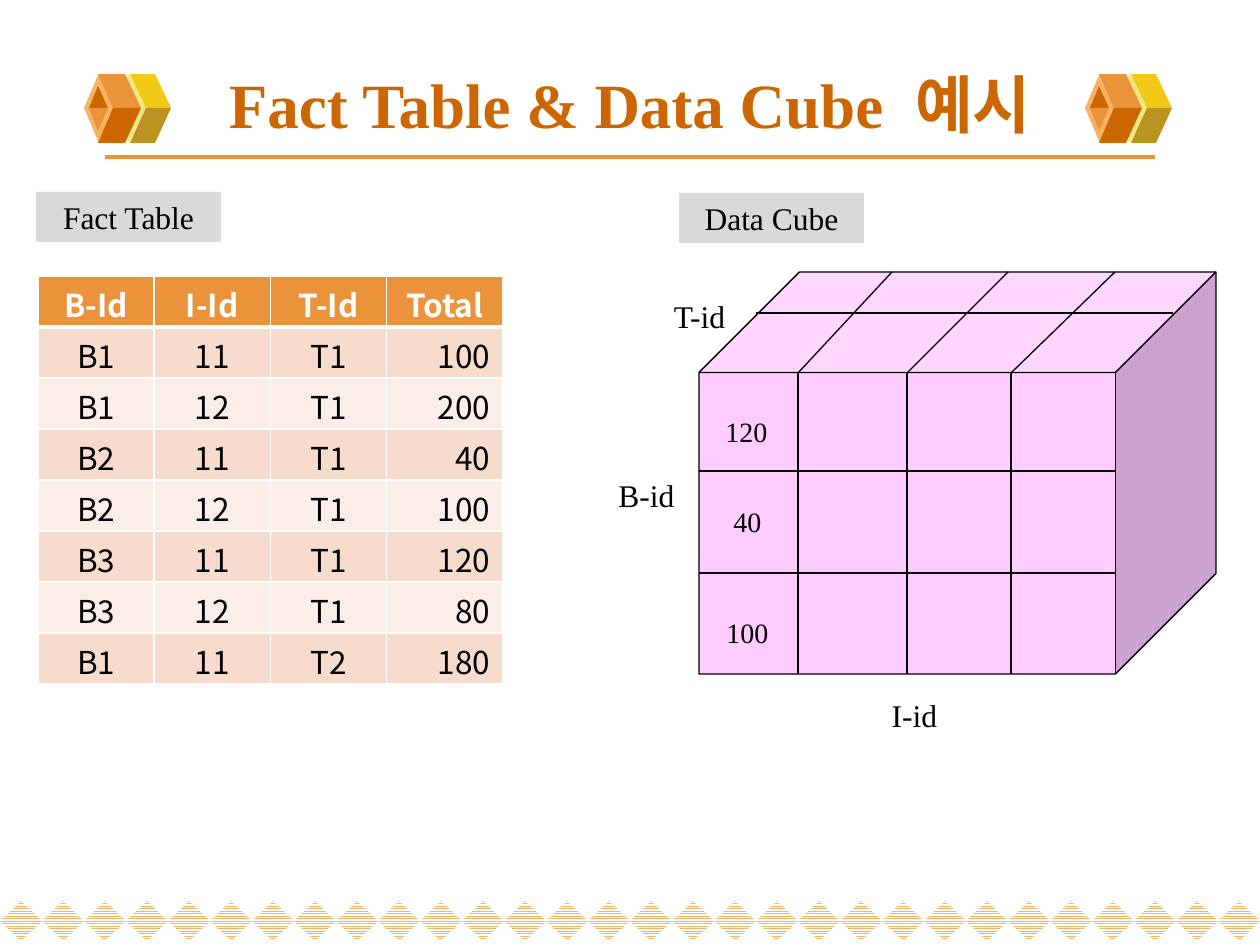
from lxml import etree
from pptx import Presentation
from pptx.dml.color import RGBColor
from pptx.enum.dml import MSO_PATTERN as PATTERN
from pptx.enum.shapes import MSO_CONNECTOR as CONN, MSO_SHAPE as SHAPE
from pptx.enum.text import MSO_ANCHOR as ANCHOR, PP_ALIGN as ALIGN
from pptx.oxml.ns import qn
from pptx.util import Pt

SCALE = 914400 / 126
SERIF, SANS = "Times New Roman", "Noto Sans CJK KR"
ORANGE, RUST, PEACH = "EB933B", "CC6600", "F5B363"


def px(n):
    return round(n * SCALE)


def rgb(color):
    return RGBColor.from_string(color)


def add_text(p, text, size=18, font=SERIF, color="000000", bold=False,
             align=ALIGN.CENTER, spacing=None):
    p.alignment = align
    r = p.add_run()
    r.text = text
    f = r.font
    f.size, f.name, f.bold = Pt(size), font, bold
    f.color.rgb = rgb(color)
    rpr = r._r.get_or_add_rPr()
    etree.SubElement(rpr, qn("a:ea")).set("typeface", SANS)
    if spacing:
        rpr.set("spc", str(spacing * 100))


def paint(sp, fill, line=None):
    sp.shadow.inherit = False
    sp.fill.solid()
    sp.fill.fore_color.rgb = rgb(fill)
    if line:
        sp.line.color.rgb = rgb(line)
        sp.line.width = Pt(0.75)
    else:
        sp.line.fill.background()


def add_box(s, kind, x, y, w, h, fill, line=None):
    sp = s.shapes.add_shape(kind, px(x), px(y), px(w), px(h))
    paint(sp, fill, line)
    return sp


def add_polygon(s, x, y, points, fill):
    (x0, y0), *rest = [(x + a, y + b) for a, b in points]
    builder = s.shapes.build_freeform(x0, y0, scale=SCALE)
    builder.add_line_segments(rest, close=True)
    paint(builder.convert_to_shape(), fill)


def add_line(s, x1, y1, x2, y2, color="000000", width=0.75):
    c = s.shapes.add_connector(CONN.STRAIGHT, px(x1), px(y1), px(x2), px(y2))
    c.line.color.rgb = rgb(color)
    c.line.width = Pt(width)
    etree.SubElement(c._element.spPr, qn("a:effectLst"))


def add_label(s, text, x, y, w, h, **fmt):
    tf = s.shapes.add_textbox(px(x), px(y), px(w), px(h)).text_frame
    tf.word_wrap = True
    add_text(tf.paragraphs[0], text, **fmt)


def diamond_border(s, y, count=30, pitch=42, height=40):
    for i in range(count):
        sp = add_box(s, SHAPE.DIAMOND, i * pitch, y, pitch, height, PEACH)
        sp.fill.patterned()
        sp.fill.pattern = PATTERN.NARROW_HORIZONTAL
        sp.fill.fore_color.rgb = rgb(PEACH)
        sp.fill.back_color.rgb = rgb("FFFFFF")


def hex_ornament(s, x, y):
    add_box(s, SHAPE.DIAMOND, x + 24, y + 1, 42, 69, "F1E785")
    add_polygon(s, x, y, [(62, 35), (87, 35), (71, 1), (46, 1)], "F3C917")
    add_polygon(s, x, y, [(62, 35), (87, 35), (71, 70), (46, 70)], "BB9321")
    add_box(s, SHAPE.DIAMOND, x, y, 30, 70, PEACH)
    add_polygon(s, x, y, [(29, 35), (57, 35), (41, 1), (14, 1)], ORANGE)
    add_polygon(s, x, y, [(29, 35), (57, 35), (41, 70), (14, 70)], RUST)
    add_polygon(s, x, y, [(14, 13), (5, 35), (24, 35)], RUST)
    add_polygon(s, x, y, [(14, 58), (5, 35), (24, 35)], ORANGE)


def title_band(s, x, y, w, h):
    title = s.shapes.title
    title.left, title.top, title.width, title.height = px(x), px(y), px(w), px(h)
    tf = title.text_frame
    tf.vertical_anchor = ANCHOR.MIDDLE
    p = tf.paragraphs[0]
    for text, spacing in (("Fact Table & Data Cube", None), (" ", 9), ("예시", None)):
        add_text(p, text, size=36, color=RUST, bold=True, spacing=spacing)
    add_line(s, x + 42, y + 107, x + w - 42, y + 107, ORANGE, 2.25)
    for left in (x + 21, x + 1022):
        hex_ornament(s, left, y + 23)


def caption(s, text, x, y):
    sp = add_box(s, SHAPE.RECTANGLE, x, y, 185, 50, "D9D9D9")
    sp.text_frame.vertical_anchor = ANCHOR.TOP
    add_text(sp.text_frame.paragraphs[0], text)


def set_borders(cell, bottom):
    tcpr = cell._tc.get_or_add_tcPr()
    widths = (("a:lnL", 1), ("a:lnR", 1), ("a:lnT", 1), ("a:lnB", bottom))
    for i, (tag, width) in enumerate(widths):
        ln = etree.Element(qn(tag), w=str(Pt(width)))
        solid = etree.SubElement(ln, qn("a:solidFill"))
        etree.SubElement(solid, qn("a:srgbClr")).set("val", "FFFFFF")
        tcpr.insert(i, ln)


def fact_table(s, x, y, w, h, rows):
    n, m = len(rows), len(rows[0])
    table = s.shapes.add_table(n, m, px(x), px(y), px(w), px(h)).table
    for col in table.columns:
        col.width = px(w / m)
    for i, row in enumerate(rows):
        table.rows[i].height = px(h / n)
        head = i == 0
        for j, value in enumerate(row):
            cell = table.cell(i, j)
            cell.margin_top, cell.margin_bottom = px(5), 0
            cell.fill.solid()
            cell.fill.fore_color.rgb = rgb(
                ORANGE if head else ("FBEEE8", "F7DCCE")[i % 2])
            set_borders(cell, 3 if head else 1)
            number = j == m - 1 and not head
            add_text(cell.text_frame.paragraphs[0], value, font=SANS, bold=head,
                     color="FFFFFF" if head else "000000",
                     align=ALIGN.RIGHT if number else ALIGN.CENTER)


def data_cube(s, x, y, w, h):
    depth = 101
    add_box(s, SHAPE.CUBE, x, y, w, h, "FFCCFF", "000000")
    for row in (199, 301):
        add_line(s, x, y + row, x + w - depth, y + row)
    for front, back in ((99, 193), (208, 309), (312, 416)):
        add_line(s, x + front, y + depth, x + front, y + h)
        add_line(s, x + front, y + depth, x + back, y)
    add_line(s, x + 57, y + 41, x + 474, y + 41)
    for text, dx, dy, width in (("I-id", 170, 418, 91), ("B-id", -101, 198, 97),
                                ("T-id", -45, 19, 91)):
        add_label(s, text, x + dx, y + dy, width, 50)
    for text, dx, dy in (("120", 14, 136), ("40", 22, 226), ("100", 15, 337)):
        add_label(s, text, x + dx, y + dy, 72, 47, size=16, align=ALIGN.LEFT)


def build():
    prs = Presentation()
    prs.slide_width, prs.slide_height = px(1260), px(945)
    s = prs.slides.add_slide(prs.slide_layouts[5])
    diamond_border(s, 901)
    title_band(s, 63, 50, 1134, 107)
    caption(s, "Fact Table", 36, 192)
    fact_table(s, 38, 276, 465, 408, [
        ("B-Id", "I-Id", "T-Id", "Total"),
        ("B1", "11", "T1", "100"),
        ("B1", "12", "T1", "200"),
        ("B2", "11", "T1", "40"),
        ("B2", "12", "T1", "100"),
        ("B3", "11", "T1", "120"),
        ("B3", "12", "T1", "80"),
        ("B1", "11", "T2", "180"),
    ])
    data_cube(s, 699, 272, 517, 402)
    caption(s, "Data Cube", 679, 193)
    prs.save("out.pptx")


build()
